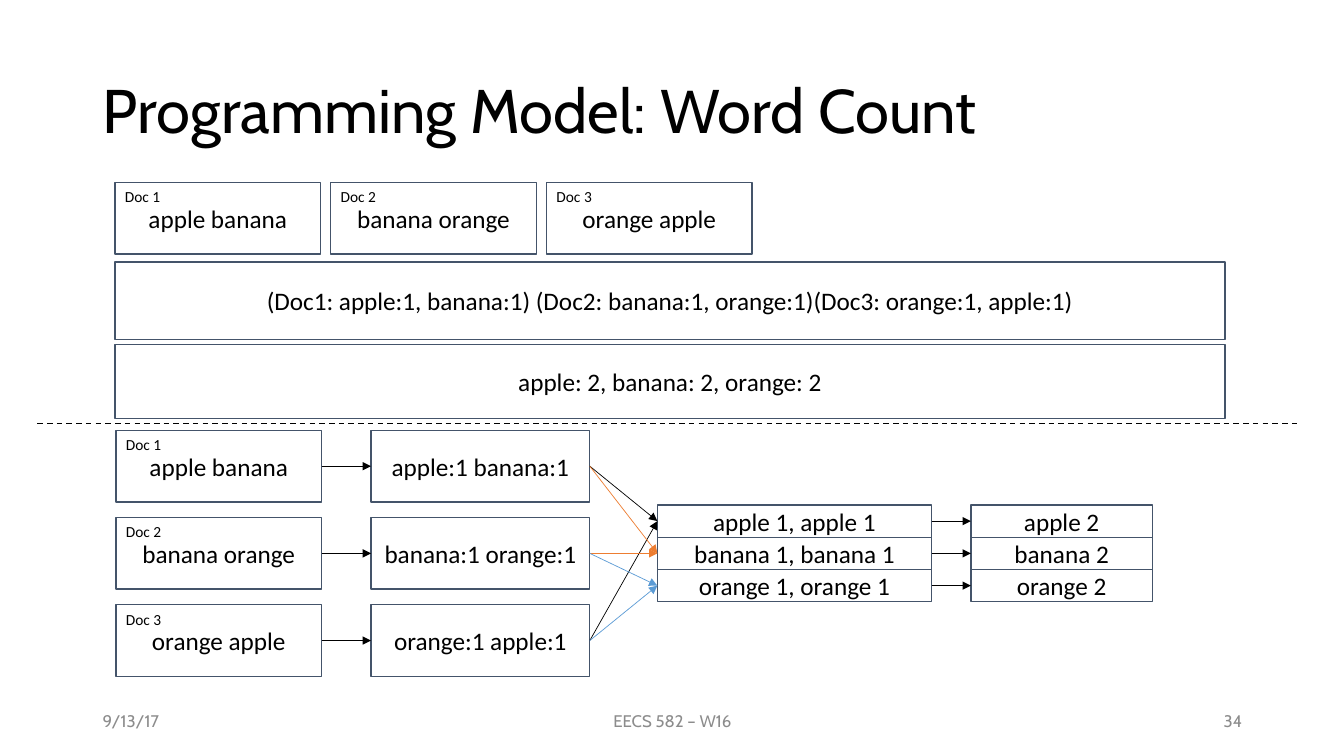
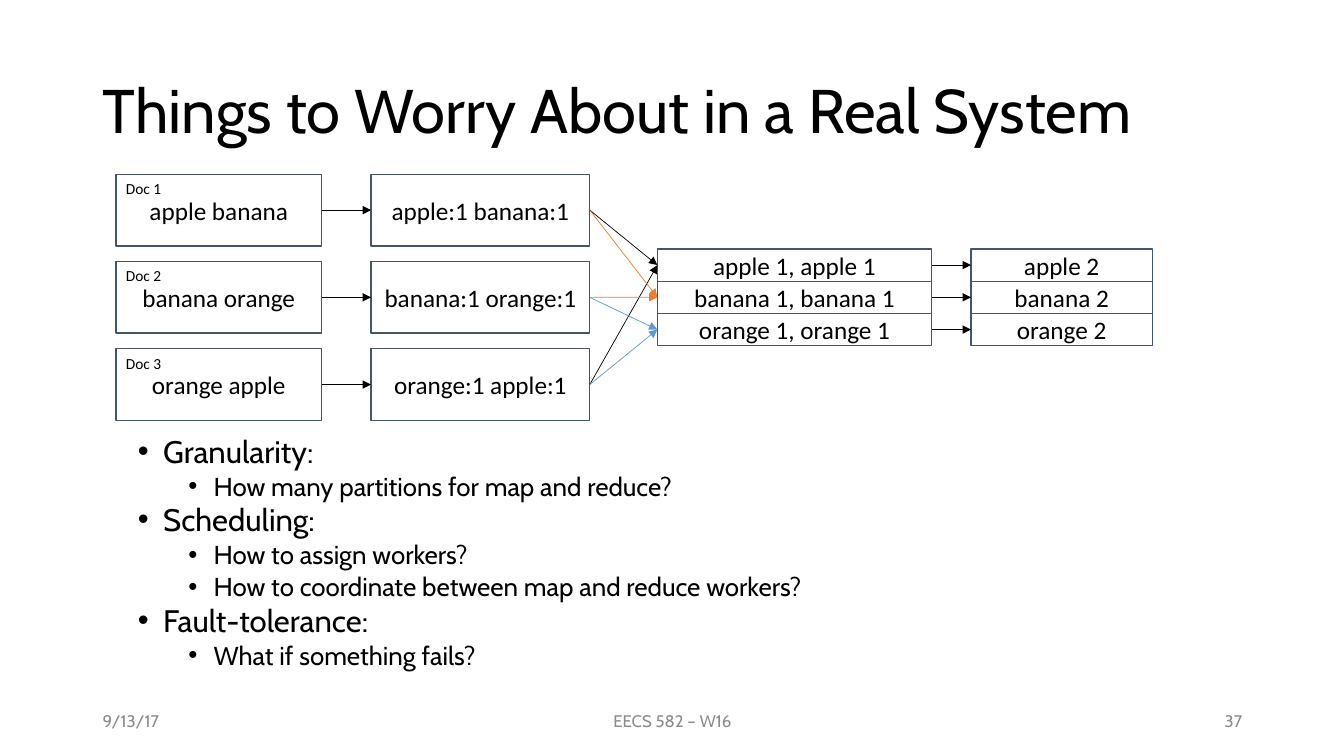
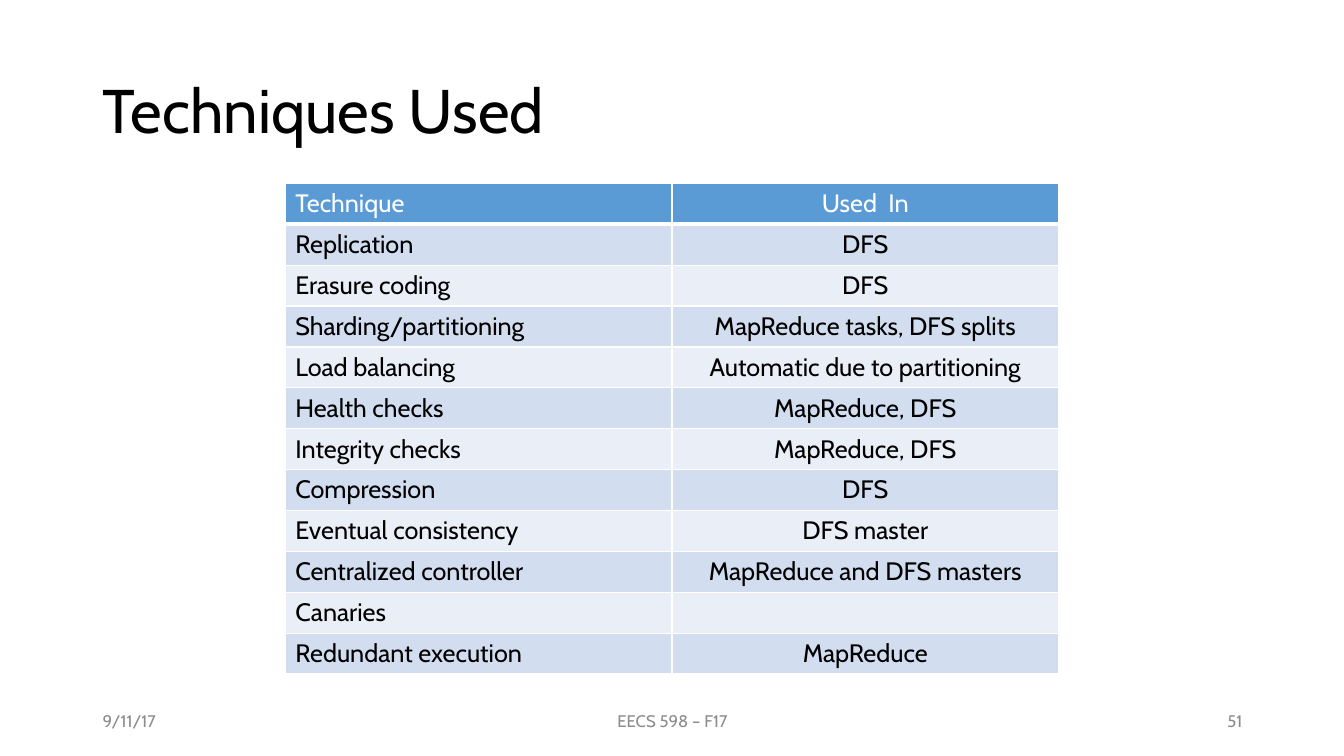
from lxml import etree
from pptx import Presentation
from pptx.dml.color import RGBColor
from pptx.enum import dml, shapes, text
from pptx.oxml import ns
from pptx.util import Inches, Pt

HEAD, BODY = "Cabin", "Calibri"
BLACK, WHITE, GREY, SLATE = "000000", "FFFFFF", "8C8C8C", "44546A"
BLUE, ORANGE = "5B9BD5", "ED7D31"
BANDS = ["EAEFF7", "D2DEEF"]
LEFT, MID, RIGHT = text.PP_ALIGN.LEFT, text.PP_ALIGN.CENTER, text.PP_ALIGN.RIGHT
TOP, CENTER = text.MSO_ANCHOR.TOP, text.MSO_ANCHOR.MIDDLE

DOCS = ["apple banana", "banana orange", "orange apple"]
MAPS = ["apple:1 banana:1", "banana:1 orange:1", "orange:1 apple:1"]
KEYS = ["apple 1, apple 1", "banana 1, banana 1", "orange 1, orange 1"]
SUMS = ["apple 2", "banana 2", "orange 2"]
# Map box, key box and colour of each shuffle arrow
SHUFFLE = [(0, 0, BLACK), (2, 0, BLACK), (1, 1, ORANGE),
           (0, 1, ORANGE), (1, 2, BLUE), (2, 2, BLUE)]
DOC_W, DOC_H = 2.04, 0.71

POINTS = [
    (1, "Granularity:"),
    (2, "How many partitions for map and reduce?"),
    (1, "Scheduling:"),
    (2, "How to assign workers?"),
    (2, "How to coordinate between map and reduce workers?"),
    (1, "Fault-tolerance:"),
    (2, "What if something fails?"),
]
ROWS = [
    ("Technique", "Used  In"),
    ("Replication", "DFS"),
    ("Erasure coding", "DFS"),
    ("Sharding/partitioning", "MapReduce tasks, DFS splits"),
    ("Load balancing", "Automatic due to partitioning"),
    ("Health checks", "MapReduce, DFS"),
    ("Integrity checks", "MapReduce, DFS"),
    ("Compression", "DFS"),
    ("Eventual consistency", "DFS master"),
    ("Centralized controller", "MapReduce and DFS masters"),
    ("Canaries", ""),
    ("Redundant execution", "MapReduce"),
]


def paint(color, value):
    color.rgb = RGBColor.from_string(value)


def sub(parent, tag, **attrs):
    return etree.SubElement(parent, ns.qn(tag), **attrs)


def style(para, size, font=HEAD, color=BLACK, align=LEFT):
    para.alignment = align
    for run in para.runs:
        run.font.size, run.font.name, run.font.bold = Pt(size), font, False
        paint(run.font.color, color)


def write(shape, words, size, font=HEAD, color=BLACK, align=LEFT, anchor=CENTER):
    frame = shape.text_frame
    frame.word_wrap = True
    frame.auto_size = text.MSO_AUTO_SIZE.NONE
    frame.vertical_anchor = anchor
    frame.text = words
    style(frame.paragraphs[0], size, font, color, align)


def label(slide, x, y, w, h, words, size, **look):
    box = slide.shapes.add_textbox(Inches(x), Inches(y), Inches(w), Inches(h))
    write(box, words, size, **look)


def rect(slide, x, y, w, h, words):
    box = slide.shapes.add_shape(shapes.MSO_SHAPE.RECTANGLE,
                                 Inches(x), Inches(y), Inches(w), Inches(h))
    box.shadow.inherit = False
    box.fill.background()
    paint(box.line.color, SLATE)
    box.line.width = Pt(1)
    write(box, words, 18, font=BODY, align=MID)
    return box


def line(slide, x1, y1, x2, y2, color=BLACK, width=0.5):
    link = slide.shapes.add_connector(shapes.MSO_CONNECTOR.STRAIGHT,
                                      Inches(x1), Inches(y1), Inches(x2), Inches(y2))
    paint(link.line.color, color)
    link.line.width = Pt(width)
    sub(link._element.spPr, "a:effectLst")
    return link


def arrow(slide, start, end, color=BLACK):
    """Join the right side of one box to the left side of another."""
    link = line(slide, 0, 0, 1, 1, color)
    link.begin_connect(start, 3)
    link.end_connect(end, 1)
    sub(link.line._get_or_add_ln(), "a:tailEnd", type="triangle")


def doc(slide, x, y, i):
    box = rect(slide, x, y, DOC_W, DOC_H, DOCS[i])
    label(slide, x, y, 0.89, 0.29, f"Doc {i + 1}", 11, font=BODY, anchor=TOP)
    return box


def flow(slide, x, y):
    """Documents, map output, grouped keys and sums, from left to right."""
    step, high, top = 0.865, 0.32, y + 0.74
    docs = [doc(slide, x, y + i * step, i) for i in range(3)]
    maps = [rect(slide, x + 2.53, y + i * step, 2.17, DOC_H, words)
            for i, words in enumerate(MAPS)]
    keys, sums = [[rect(slide, x + dx, top + i * high, w, high, words)
                   for i, words in enumerate(names)]
                  for dx, w, names in ((5.37, 2.72, KEYS), (8.48, 1.8, SUMS))]
    for start, end in [*zip(docs, maps), *zip(keys, sums)]:
        arrow(slide, start, end)
    for i, j, color in SHUFFLE:
        arrow(slide, maps[i], keys[j], color)


def bullets(slide, x, y, w, h):
    box = slide.shapes.add_textbox(Inches(x), Inches(y), Inches(w), Inches(h))
    frame = box.text_frame
    frame.word_wrap = True
    frame.vertical_anchor = CENTER
    for i, (level, words) in enumerate(POINTS):
        para = frame.add_paragraph() if i else frame.paragraphs[0]
        para.text = words
        para.level = level - 1
        para.line_spacing = 0.8
        if i:
            para.space_before = Pt(5)
        props = para._p.get_or_add_pPr()
        props.set("marL", str(Inches(0.25 + 0.5 * level)))
        props.set("indent", str(Inches(-0.25)))
        sub(props, "a:buFont", typeface="Arial")
        sub(props, "a:buChar", char="•")
        style(para, 22.2 if level == 1 else 18.5)


def border(cell, head):
    props = cell._tc.get_or_add_tcPr()
    for side in "LRTB":
        width = Pt(3 if head and side == "B" else 1)
        edge = sub(props, f"a:ln{side}", w=str(width))
        sub(sub(edge, "a:solidFill"), "a:srgbClr", val=WHITE)


def grid(slide, x, y, w, h):
    table = slide.shapes.add_table(len(ROWS), 2, Inches(x), Inches(y),
                                   Inches(w), Inches(h)).table
    for r, row in enumerate(ROWS):
        for c, words in enumerate(row):
            cell = table.cell(r, c)
            border(cell, r == 0)
            cell.fill.solid()
            paint(cell.fill.fore_color, BANDS[r % 2] if r else BLUE)
            cell.text = words
            style(cell.text_frame.paragraphs[0], 18,
                  color=BLACK if r else WHITE, align=MID if c else LEFT)


def page(deck, title, date, course, number):
    """Slide with the shared title and footer."""
    slide = deck.slides.add_slide(deck.slide_layouts[5])
    head = slide.shapes.title
    head.left, head.top = Inches(0.92), Inches(0.4)
    head.width, head.height = Inches(11.5), Inches(1.45)
    write(head, title, 44)
    head.text_frame.paragraphs[0].line_spacing = 0.9
    for x, w, words, align in ((0.92, 3, date, LEFT), (4.42, 4.5, course, MID),
                               (9.42, 3, number, RIGHT)):
        label(slide, x, 6.95, w, 0.4, words, 12, color=GREY, align=align)
    return slide


def count(deck):
    slide = page(deck, "Programming Model: Word Count", "9/13/17", "EECS 582 – W16", "34")
    x = 1.14
    for i in range(3):
        doc(slide, x + i * 2.14, 1.81, i)
    rect(slide, x, 2.6, 11.01, 0.77,
         "(Doc1: apple:1, banana:1) (Doc2: banana:1, orange:1)(Doc3: orange:1, apple:1)")
    rect(slide, x, 3.42, 11.01, 0.73, "apple: 2, banana: 2, orange: 2")
    flow(slide, 1.15, 4.27)
    rule = line(slide, 0.37, 4.2, 12.89, 4.2, width=1)
    rule.line.dash_style = dml.MSO_LINE.DASH


def worry(deck):
    slide = page(deck, "Things to Worry About in a Real System",
                 "9/13/17", "EECS 582 – W16", "37")
    flow(slide, 1.15, 1.73)
    bullets(slide, 0.77, 4.27, 11.5, 2.47)


def used(deck):
    slide = page(deck, "Techniques Used", "9/11/17", "EECS 598 – F17", "51")
    grid(slide, 2.83, 1.82, 7.67, 4.87)


def main():
    deck = Presentation()
    deck.slide_width, deck.slide_height = Inches(13.33), Inches(7.5)
    for build in (count, worry, used):
        build(deck)
    deck.save("out.pptx")


if __name__ == "__main__":
    main()
